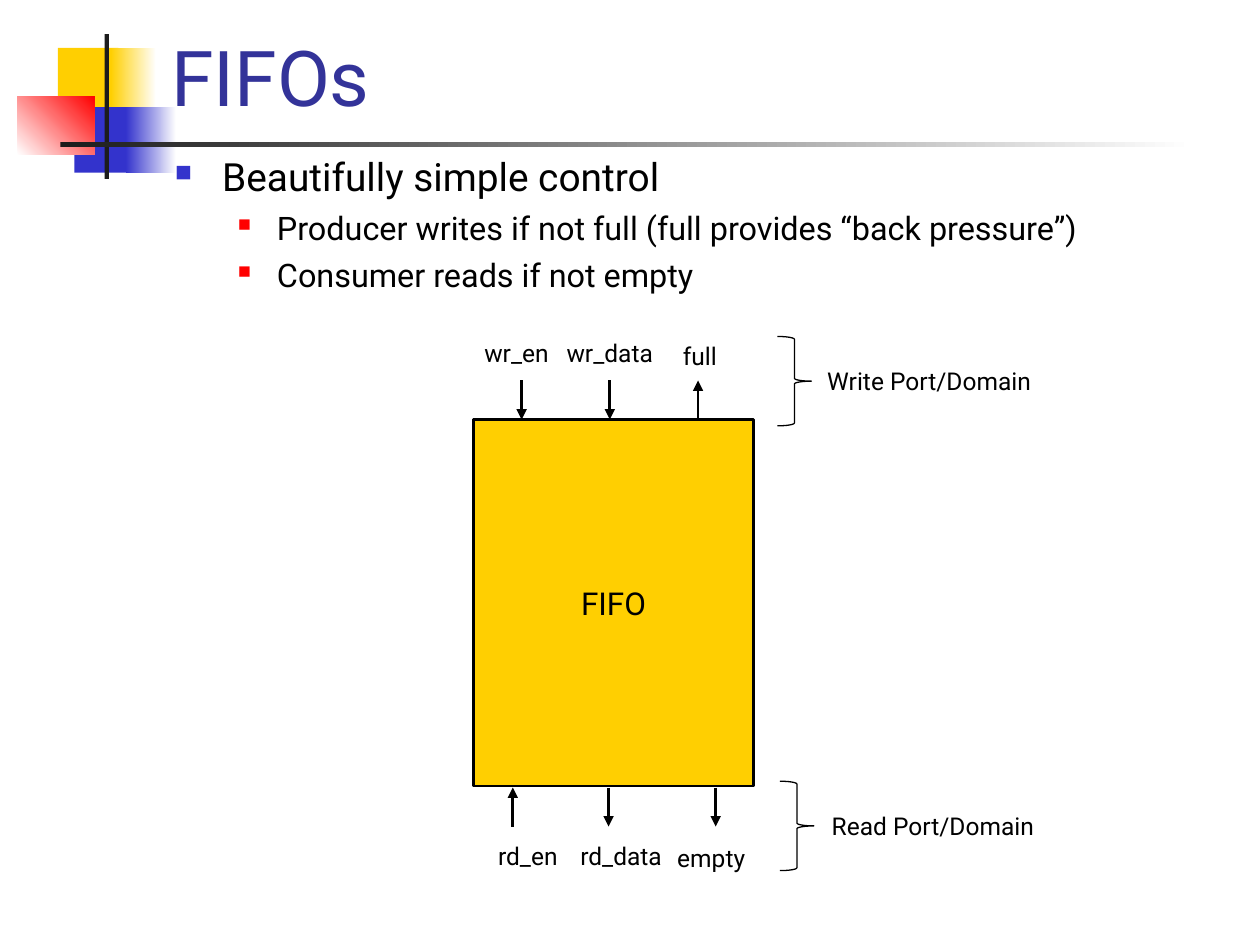
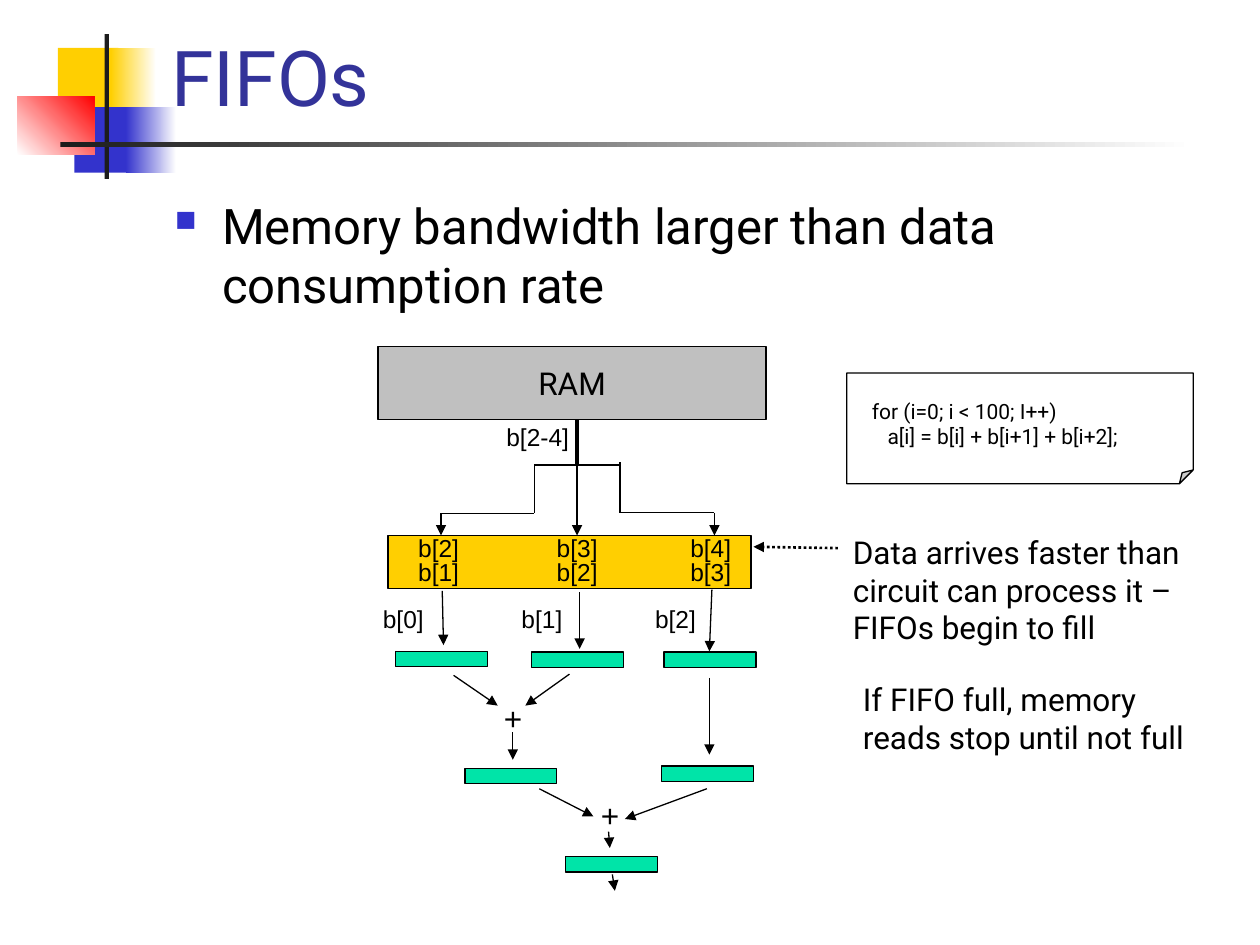
from dataclasses import dataclass
from typing import NamedTuple, Optional

from lxml.etree import SubElement
from pptx import Presentation
from pptx.dml.color import RGBColor
from pptx.enum.dml import MSO_LINE as Dash
from pptx.enum.shapes import MSO_CONNECTOR as Connector, MSO_SHAPE as Preset
from pptx.enum.text import MSO_ANCHOR as Anchor, PP_ALIGN as Align
from pptx.oxml.ns import qn
from pptx.util import Inches, Pt

SLIDE_WIDTH, SLIDE_HEIGHT = Inches(10), Inches(7.5)
COLUMNS = 100
CELL = SLIDE_WIDTH / COLUMNS
color_of = RGBColor.from_string


@dataclass(frozen=True)
class Theme:
    """Colours, fonts, type sizes and line widths of the deck."""
    ink: str = "000000"
    paper: str = "FFFFFF"
    title: str = "333399"
    yellow: str = "FFCF01"
    blue: str = "3333CC"
    red: str = "FF0000"
    charcoal: str = "1C1C1C"
    memory: str = "C0C0C0"
    register: str = "00E4A8"
    font: str = "Roboto"
    signal_font: str = "Arial"
    title_size: float = 44
    lead_size: float = 28
    topic_size: float = 22.2
    point_size: float = 18.5
    text_size: float = 18
    label_size: float = 14
    code_size: float = 12
    thin: float = 0.75
    medium: float = 1.5
    thick: float = 2.5


THEME = Theme()


class Area(NamedTuple):
    """A rectangle in grid columns and rows."""
    column: float
    row: float
    wide: float
    high: float


class Wire(NamedTuple):
    """A straight line between two grid points."""
    start: tuple[float, float]
    end: tuple[float, float]
    width: float = THEME.thin
    arrow: bool = True
    dash: Optional[Dash] = None


class Band(NamedTuple):
    """A block of the title ornament, plain or fading to a second colour."""
    area: Area
    color: str
    fade: Optional[str] = None
    angle: float = 0


class Bullet(NamedTuple):
    """The square marker and indents of a list level."""
    color: str
    percent: int
    left: float
    hanging: float


class Line(NamedTuple):
    """A paragraph with its size and optional bullet."""
    text: str
    size: float
    bullet: Optional[Bullet] = None
    before: float = 0


TOPIC = Bullet(THEME.blue, 60, 3.75, 3.75)
POINT = Bullet(THEME.red, 55, 8.1, 3.1)

ORNAMENT = (
    Band(Area(4.6, 3.8, 4.8, 5.2), THEME.yellow),
    Band(Area(8.8, 3.8, 3.6, 5.2), THEME.yellow, THEME.paper),
    Band(Area(5.9, 8.5, 4.6, 5.2), THEME.blue),
    Band(Area(10, 8.5, 4, 5.2), THEME.blue, THEME.paper),
    Band(Area(1.4, 7.65, 6.1, 4.65), THEME.paper, THEME.red, 45),
    Band(Area(8.3, 2.7, 0.35, 11.5), THEME.charcoal),
    Band(Area(4.8, 11.3, 90, 0.35), THEME.charcoal, THEME.paper),
)

PORT_LABELS = {
    "wr_en": Area(32.7, 26.1, 16.6, 3.8),
    "wr_data": Area(41.4, 26.1, 14, 3.8),
    "full": Area(51.1, 26.3, 8.9, 3.8),
    "rd_en": Area(33.6, 66, 16.6, 3.8),
    "rd_data": Area(42.3, 66, 14, 3.8),
    "empty": Area(52, 66.2, 8.9, 3.8),
    "Write Port/Domain": Area(64.2, 28.3, 19.1, 3.8),
    "Read Port/Domain": Area(64.5, 63.6, 19.1, 3.8),
}
PORT_ARROWS = ((41.4, 30.2, 33.3), (48.4, 30.2, 33.3), (55.4, 33.3, 30.2),
               (40.7, 65.6, 62.5), (48.3, 62.5, 65.6), (56.8, 62.5, 65.6))
BRACES = (Area(61.7, 26.7, 2.7, 7.1), Area(61.9, 62, 2.7, 7.1))

REGISTERS = ((31.4, 51.7), (42.2, 51.75), (52.7, 51.75),
             (36.9, 61), (52.5, 60.8), (44.9, 68))
ADDERS = ((39, 55), (46.7, 62.7))
QUEUE_COLUMNS = (32.2, 43.2, 53.8)
QUEUE_ROWS = (47.45, 43.7, 41.8)
READ_SHIFT = 2.8

BUS = (
    ((42.4, 36.9), (49.2, 36.9)), ((42.4, 36.9), (42.4, 40.75)),
    ((49.2, 36.7), (49.2, 40.7)), ((35, 40.75), (42.4, 40.75)),
    ((49.2, 40.7), (56.7, 40.7)),
)
FLOWS = (
    ((45.8, 37), (45.8, 42.5)), ((35, 40.75), (35, 42.5)),
    ((56.7, 40.7), (56.7, 42.5)), ((35.1, 46.9), (35.2, 51.2)),
    ((46, 47), (46, 51.5)), ((56.5, 46.8), (56.3, 51.7)),
    ((36, 53.6), (39.5, 56)), ((45.2, 53.5), (41.7, 56)),
    ((56.3, 53.8), (56.3, 59.9)), ((40.7, 58.1), (40.7, 60.3)),
    ((42.8, 62.6), (47.1, 64.8)), ((56.1, 62.6), (49.6, 65)),
    ((48.3, 66), (48.4, 67.3)), ((48.6, 69.4), (48.8, 70.7)),
)
WIRES = (
    Wire((45.8, 33.3), (45.8, 37), THEME.thick, False),
    *(Wire(start, end, arrow=False) for start, end in BUS),
    *(Wire(start, end) for start, end in FLOWS),
    Wire((66.5, 43.5), (59.8, 43.4), THEME.medium, dash=Dash.ROUND_DOT),
)


def cells(*counts: float) -> list[int]:
    """Turn counts of grid columns or rows into lengths."""
    return [round(CELL * count) for count in counts]


def add_bullet(paragraph, bullet: Bullet) -> None:
    """Give a paragraph a square bullet and a hanging indent."""
    properties = paragraph._p.get_or_add_pPr()
    left, indent = cells(bullet.left, -bullet.hanging)
    properties.set("marL", str(left))
    properties.set("indent", str(indent))
    color = SubElement(properties, qn("a:buClr"))
    SubElement(color, qn("a:srgbClr"), val=bullet.color)
    SubElement(properties, qn("a:buSzPct"), val=str(bullet.percent * 1000))
    SubElement(properties, qn("a:buChar"), char="■")


def write(shape, *lines: Line, font: str = THEME.font, color: str = THEME.ink,
          align: Align = Align.LEFT, anchor: Anchor = Anchor.TOP,
          insets: tuple = (1, 0.5, 1, 0.5), wrap: bool = True) -> None:
    """Fill a shape with formatted paragraphs."""
    frame = shape.text_frame
    frame.word_wrap, frame.vertical_anchor = wrap, anchor
    (frame.margin_left, frame.margin_top,
     frame.margin_right, frame.margin_bottom) = cells(*insets)
    for index, line in enumerate(lines):
        paragraph = frame.add_paragraph() if index else frame.paragraphs[0]
        paragraph.alignment = align
        if line.bullet:
            add_bullet(paragraph, line.bullet)
        paragraph.space_before = Pt(line.before)
        run = paragraph.add_run()
        run.text = line.text
        run.font.name, run.font.size = font, Pt(line.size)
        run.font.color.rgb = color_of(color)


def write_box(slide, area: Area, *lines: Line, **text_format) -> None:
    """Add a text box with formatted paragraphs."""
    write(slide.shapes.add_textbox(*cells(*area)), *lines, **text_format)


def draw_shape(slide, area: Area, preset: Preset = Preset.RECTANGLE,
               fill: Optional[str] = None, outline: float = 0):
    """Add a preset shape with an optional fill and black outline."""
    shape = slide.shapes.add_shape(preset, *cells(*area))
    shape.shadow.inherit = False
    if fill:
        shape.fill.solid()
        shape.fill.fore_color.rgb = color_of(fill)
    else:
        shape.fill.background()
    if outline:
        shape.line.color.rgb = color_of(THEME.ink)
        shape.line.width = Pt(outline)
    else:
        shape.line.fill.background()
    return shape


def draw_wire(slide, wire: Wire) -> None:
    """Add a line, with an arrowhead at its end if asked."""
    connector = slide.shapes.add_connector(
        Connector.STRAIGHT, *cells(*wire.start, *wire.end))
    connector.line.color.rgb = color_of(THEME.ink)
    connector.line.width = Pt(wire.width)
    if wire.dash:
        connector.line.dash_style = wire.dash
    properties = connector._element.spPr
    if wire.arrow:
        SubElement(properties.find(qn("a:ln")), qn("a:tailEnd"), type="triangle")
    SubElement(properties, qn("a:effectLst"))


def draw_block(slide, area: Area, text: str, size: float = THEME.text_size,
               wrap: bool = False, **look) -> None:
    """Add a shape with centred text."""
    write(draw_shape(slide, area, **look), Line(text, size),
          align=Align.CENTER, anchor=Anchor.MIDDLE, wrap=wrap)


def write_signal(slide, column: float, row: float, text: str) -> None:
    """Add the name of an array element or bus."""
    write_box(slide, Area(column, row, 8.5, 3.4), Line(text, THEME.label_size),
              font=THEME.signal_font)


def add_titled_slide(presentation, title: str):
    """Add a blank slide with the ornament and title."""
    slide = presentation.slides.add_slide(presentation.slide_layouts[6])
    for band in ORNAMENT:
        shape = draw_shape(slide, band.area, fill=band.color)
        if band.fade:
            shape.fill.gradient()
            shape.fill.gradient_angle = band.angle
            for stop, code in zip(shape.fill.gradient_stops, (band.color, band.fade)):
                stop.color.rgb = color_of(code)
    write_box(slide, Area(12.6, 0, 85.2, 10.2), Line(title, THEME.title_size),
              color=THEME.title, anchor=Anchor.BOTTOM)
    return slide


def build_control_slide(presentation) -> None:
    """Show the FIFO with its write and read ports."""
    slide = add_titled_slide(presentation, "FIFOs")
    write_box(slide, Area(12.9, 11.6, 85, 12.5),
              Line("Beautifully simple control", THEME.topic_size, TOPIC),
              Line("Producer writes if not full (full provides “back pressure”)",
                   THEME.point_size, POINT, 5),
              Line("Consumer reads if not empty", THEME.point_size, POINT, 5))
    draw_block(slide, Area(37.6, 33.3, 22.2, 29.1), "FIFO",
               fill=THEME.yellow, outline=THEME.medium)
    for column, start, end in PORT_ARROWS:
        draw_wire(slide, Wire((column, start), (column, end), THEME.medium))
    for text, area in PORT_LABELS.items():
        draw_block(slide, area, text, THEME.label_size, True,
                   preset=Preset.ROUNDED_RECTANGLE)
    for area in BRACES:
        draw_shape(slide, area, Preset.RIGHT_BRACE, outline=THEME.thin)


def build_bandwidth_slide(presentation) -> None:
    """Show the FIFOs filling between the memory and the adder tree."""
    slide = add_titled_slide(presentation, "FIFOs")
    write_box(slide, Area(12.9, 15, 85, 52.1),
              Line("Memory bandwidth larger than data consumption rate",
                   THEME.lead_size, TOPIC))
    draw_shape(slide, Area(30.8, 42.5, 28.8, 4.2), fill=THEME.yellow, outline=THEME.thin)
    draw_block(slide, Area(30, 27.5, 30.8, 5.8), "RAM",
               fill=THEME.memory, outline=THEME.thin)
    for column, row in REGISTERS:
        draw_shape(slide, Area(column, row, 7.3, 1.2), fill=THEME.register,
                   outline=THEME.thin)
    for column, row in ADDERS:
        write_box(slide, Area(column, row, 4.3, 4), Line("+", THEME.text_size),
                  font=THEME.signal_font)
    for wire in WIRES:
        draw_wire(slide, wire)
    write_signal(slide, 39.2, 33, "b[2-4]")
    for lane, column in enumerate(QUEUE_COLUMNS):
        for age, row in enumerate(QUEUE_ROWS):
            write_signal(slide, column - (0 if age else READ_SHIFT), row, f"b[{lane + age}]")
    code = draw_shape(slide, Area(67.2, 29.6, 27.5, 8.8), Preset.FOLDED_CORNER,
                      THEME.paper, THEME.thin)
    SubElement(next(code._element.iter(qn("a:avLst"))), qn("a:gd"),
               name="adj", fmla="val 12500")
    write(code, Line("for (i=0; i < 100; I++)", THEME.code_size),
          Line("   a[i] = b[i] + b[i+1] + b[i+2];", THEME.code_size), insets=(2, 2, 0, 0))
    write_box(slide, Area(66.7, 41.8, 29.8, 10),
              Line("Data arrives faster than circuit can process it – FIFOs begin to fill",
                   THEME.text_size))
    write_box(slide, Area(67.5, 53.5, 29.8, 7),
              Line("If FIFO full, memory reads stop until not full", THEME.text_size))


presentation = Presentation()
presentation.slide_width, presentation.slide_height = SLIDE_WIDTH, SLIDE_HEIGHT
build_control_slide(presentation)
build_bandwidth_slide(presentation)
presentation.save("out.pptx")
